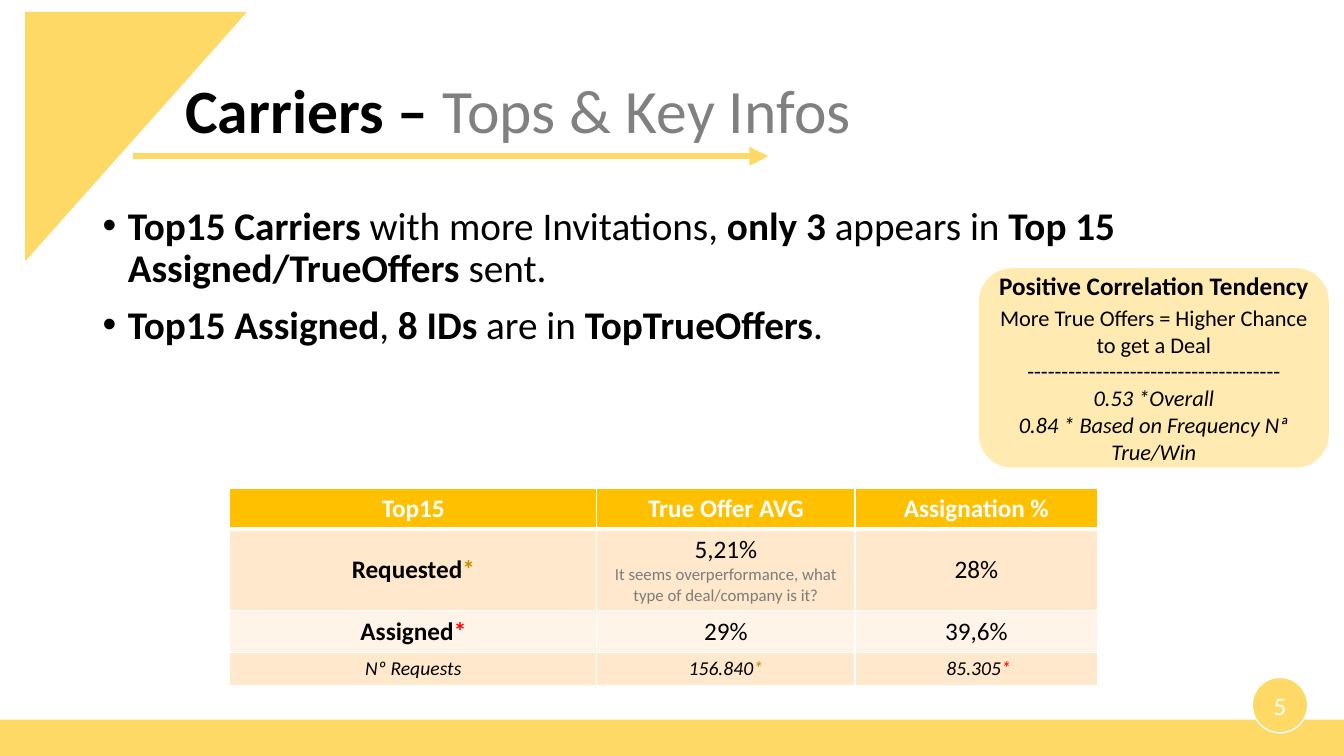
import pptx
import pptx.util
import pptx.dml.color
import pptx.enum.shapes
import pptx.enum.text
import pptx.oxml.ns
from lxml import etree

PX = 9144  # EMU per px, 100 px to the inch
FONT = "Calibri"
YELLOW, AMBER, GOLD = "FFD966", "FFC000", "BF9000"
BLACK, WHITE, RED = "000000", "FFFFFF", "FF0000"
GREY, NOTE_GREY = "808080", "7C7C7C"
PEACH, LIGHT_PEACH = "FFE8CC", "FFF4E7"

SHAPE = pptx.enum.shapes.MSO_SHAPE
ANCHOR = pptx.enum.text.MSO_ANCHOR
CENTER = pptx.enum.text.PP_ALIGN.CENTER


def px(*values):
    return [pptx.util.Emu(v * PX) for v in values]


def rgb(value):
    return pptx.dml.color.RGBColor.from_string(value)


def sub(parent, tag, **attrs):
    return etree.SubElement(parent, pptx.oxml.ns.qn(tag), attrs)


def add_runs(p, runs, size):
    """Append runs given as (text, style, colour); style holds b and/or i."""
    for text, style, color in runs:
        r = p.add_run()
        r.text = text
        r.font.name = FONT
        r.font.size = pptx.util.Pt(size)
        r.font.bold = "b" in style
        r.font.italic = "i" in style
        r.font.color.rgb = rgb(color)


def fill_text(tf, paragraphs, align=None):
    """Write paragraphs given as (size, runs) and return them."""
    for i, (size, runs) in enumerate(paragraphs):
        p = tf.add_paragraph() if i else tf.paragraphs[0]
        p.alignment = align
        add_runs(p, runs, size)
    return tf.paragraphs


def add_shape(slide, kind, box, fill, line=None):
    s = slide.shapes.add_shape(kind, *px(*box))
    s.shadow.inherit = False
    s.fill.solid()
    s.fill.fore_color.rgb = rgb(fill)
    if line:
        s.line.color.rgb = rgb(line)
        s.line.width = pptx.util.Pt(1)
    else:
        s.line.fill.background()
    s.text_frame.word_wrap = True
    s.text_frame.vertical_anchor = ANCHOR.MIDDLE
    return s


def add_textbox(slide, box):
    tf = slide.shapes.add_textbox(*px(*box)).text_frame
    tf.word_wrap = True
    return tf


def add_title(slide, x, y, w, h):
    tf = add_textbox(slide, (x, y, w, h))
    tf.vertical_anchor = ANCHOR.MIDDLE
    runs = [("Carriers – ", "b", BLACK), ("Tops & Key Infos", "", GREY)]
    fill_text(tf, [(44, runs)])[0].line_spacing = 0.9

    arrow_y = y + 115
    arrow = slide.shapes.add_connector(
        pptx.enum.shapes.MSO_CONNECTOR.STRAIGHT,
        *px(x - 42, arrow_y, x + 588, arrow_y))
    arrow.line.color.rgb = rgb(YELLOW)
    arrow.line.width = pptx.util.Pt(4.5)
    sub(arrow.line._get_or_add_ln(), "a:tailEnd", type="triangle")
    sub(arrow._element.spPr, "a:effectLst")


def add_bullets(slide, box):
    bullets = [
        [("Top15 Carriers ", "b"), ("with more Invitations, ", ""),
         ("only 3 ", "b"), ("appears in ", ""),
         ("Top 15 Assigned/TrueOffers ", "b"), ("sent.", "")],
        [("Top15 Assigned", "b"), (", ", ""), ("8 IDs ", "b"),
         ("are in ", ""), ("TopTrueOffers", "b"), (".", "")],
    ]
    paragraphs = [(28, [(*run, BLACK) for run in runs]) for runs in bullets]
    for p in fill_text(add_textbox(slide, box), paragraphs):
        p.line_spacing = 0.9
        p.space_before = pptx.util.Pt(10)
        pPr = p._p.get_or_add_pPr()
        pPr.set("marL", str(25 * PX))
        pPr.set("indent", str(-25 * PX))
        sub(pPr, "a:buFont", typeface="Arial")
        sub(pPr, "a:buChar", char="•")


def add_footer(slide, x, y, w, h):
    add_shape(slide, SHAPE.RECTANGLE, (x, y, w, h), YELLOW)
    badge = add_shape(slide, SHAPE.OVAL, (x + w - 91, y - 42, 55, 55),
                      YELLOW, WHITE)
    fill_text(badge.text_frame, [(18, [("5", "", WHITE)])], CENTER)


def set_borders(cell, top, bottom):
    tcPr = cell._tc.get_or_add_tcPr()
    for side, width in (("L", 1), ("R", 1), ("T", top), ("B", bottom)):
        ln = sub(tcPr, f"a:ln{side}", w=str(pptx.util.Pt(width)))
        sub(sub(ln, "a:solidFill"), "a:srgbClr", val=WHITE)


def add_offer_table(slide, x, y):
    widths, heights = (364, 256, 241), (40, 81, 41, 33)
    fills = (AMBER, PEACH, LIGHT_PEACH, PEACH)
    note = "It seems overperformance, what type of deal/company is it?"
    rows = [
        [[(18, [(text, "b", WHITE)])]
         for text in ("Top15", "True Offer AVG", "Assignation %")],
        [[(18, [("Requested", "b", BLACK), ("*", "b", GOLD)])],
         [(18, [("5,21%", "", BLACK)]), (12, [(note, "", NOTE_GREY)])],
         [(18, [("28%", "", BLACK)])]],
        [[(18, [("Assigned", "b", BLACK), ("*", "b", RED)])],
         [(18, [("29%", "", BLACK)])],
         [(18, [("39,6%", "", BLACK)])]],
        [[(14, [("Nº Requests", "i", BLACK)])],
         [(14, [("156.840", "i", BLACK), ("*", "i", GOLD)])],
         [(14, [(" 85.305", "i", BLACK), ("*", "i", RED)])]],
    ]
    table = slide.shapes.add_table(
        len(rows), len(widths),
        *px(x, y, sum(widths), sum(heights))).table
    for column, width in zip(table.columns, px(*widths)):
        column.width = width
    for i, (row, height) in enumerate(zip(rows, px(*heights))):
        table.rows[i].height = height
        for j, paragraphs in enumerate(row):
            cell = table.cell(i, j)
            set_borders(cell, 3 if i == 1 else 1, 3 if i == 0 else 1)
            cell.fill.solid()
            cell.fill.fore_color.rgb = rgb(fills[i])
            cell.vertical_anchor = ANCHOR.MIDDLE
            fill_text(cell.text_frame, paragraphs, CENTER)


def add_correlation_note(slide, box):
    s = add_shape(slide, SHAPE.ROUNDED_RECTANGLE, box, YELLOW)
    color = s._element.spPr.find(".//" + pptx.oxml.ns.qn("a:srgbClr"))
    sub(color, "a:alpha", val="50000")
    paragraphs = fill_text(s.text_frame, [
        (18, [("Positive Correlation Tendency", "b", BLACK)]),
        (16, [("More True Offers = Higher Chance to get a Deal", "", BLACK)]),
        (16, [("-" * 37, "", BLACK)]),
        (16, [("0.53 *Overall", "i", BLACK)]),
        (16, [("0.84 * Based on Frequency Nª True/Win", "i", BLACK)]),
    ], CENTER)
    paragraphs[0].space_after = pptx.util.Pt(2)


def main():
    prs = pptx.Presentation()
    prs.slide_width, prs.slide_height = px(1333, 750)
    slide = prs.slides.add_slide(prs.slide_layouts[6])
    corner = add_shape(slide, SHAPE.RIGHT_TRIANGLE, (12, 26, 245, 218),
                       YELLOW, YELLOW)
    corner.rotation = 90
    add_title(slide, 174, 40, 1067, 145)
    add_bullets(slide, (92, 200, 1150, 220))
    add_footer(slide, 0, 714, 1333, 36)
    add_offer_table(slide, 228, 485)
    add_correlation_note(slide, (971, 266, 347, 198))
    prs.save("out.pptx")


if __name__ == "__main__":
    main()
